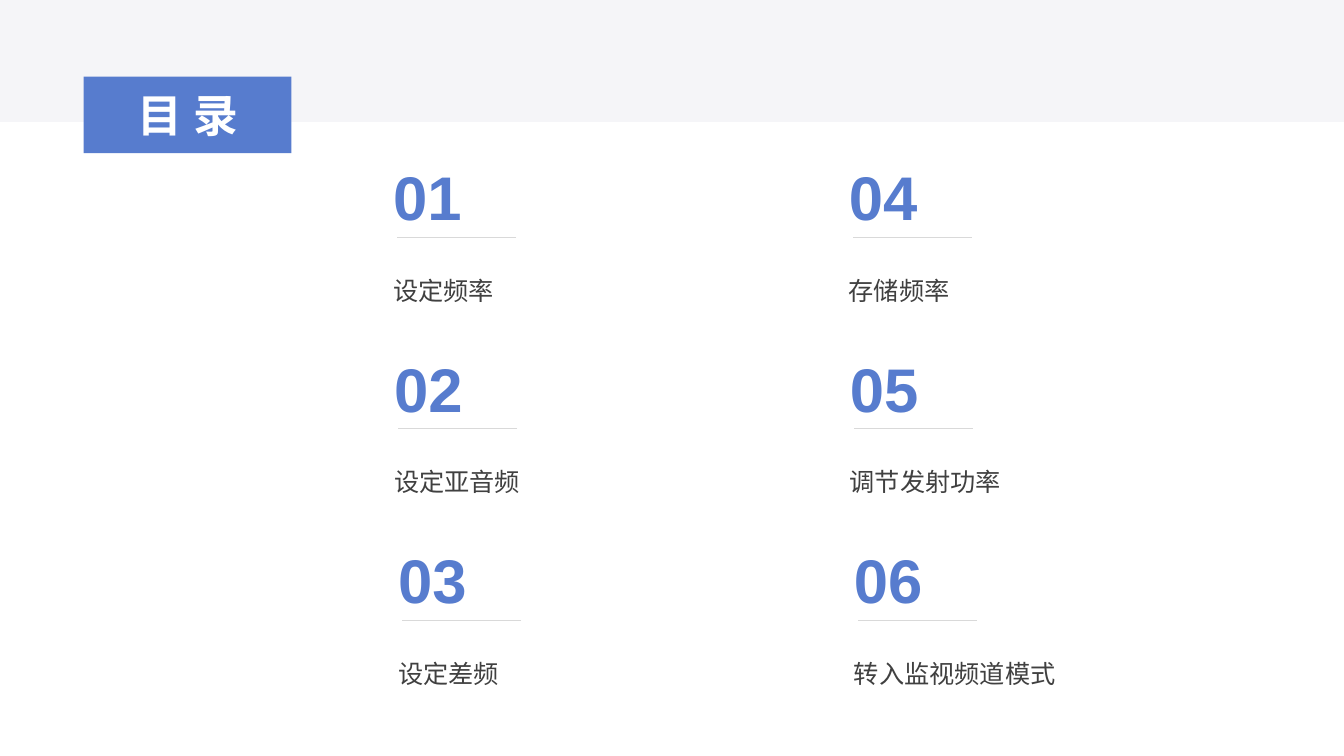
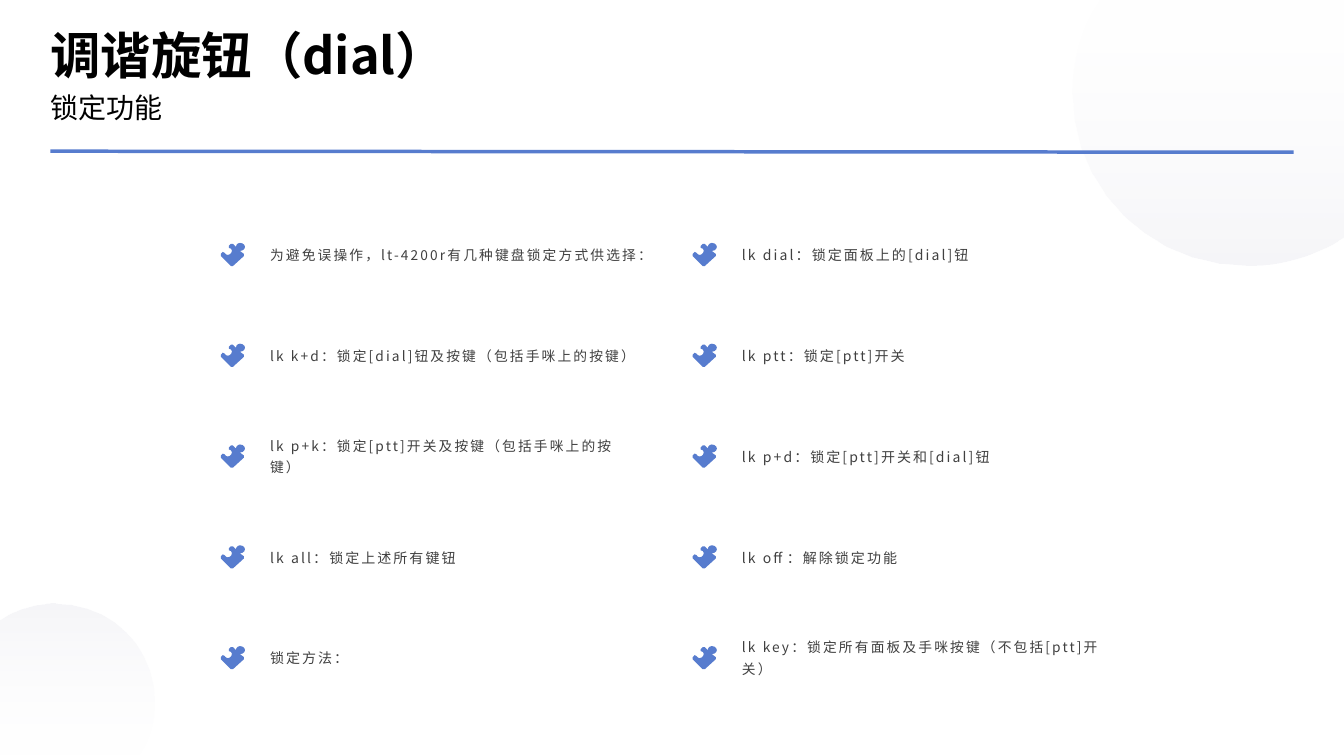
import itertools

import lxml.etree
import pptx
import pptx.dml.color
import pptx.enum.shapes
import pptx.enum.text
import pptx.oxml.ns
import pptx.util

# Content
CONTENTS_TITLE = "目录"
CONTENTS = [
    ["设定频率", "设定亚音频", "设定差频"],
    ["存储频率", "调节发射功率", "转入监视频道模式"],
]
LOCK_TITLE = "调谐旋钮（dial）"
LOCK_SUBTITLE = "锁定功能"
LOCK_ROWS = [
    ("为避免误操作，lt-4200r有几种键盘锁定方式供选择：", "lk dial：锁定面板上的[dial]钮"),
    ("lk k+d：锁定[dial]钮及按键（包括手咪上的按键）", "lk ptt：锁定[ptt]开关"),
    ("lk p+k：锁定[ptt]开关及按键（包括手咪上的按键）", "lk p+d：锁定[ptt]开关和[dial]钮"),
    ("lk all：锁定上述所有键钮", "lk off：解除锁定功能"),
    ("锁定方法：", "lk key：锁定所有面板及手咪按键（不包括[ptt]开关）"),
]

# Shared look
WIDTH, HEIGHT = 13.33, 7.5
MARGIN = 0.5
COLOURS = {
    "accent": "577CCE", "band": "F5F5F8", "rule": "D9D9D9", "body": "404040",
    "black": "000000", "white": "FFFFFF", "haze": "D8D8E4",
}
CJK_FONT = "Noto Sans CJK SC"
ALIGN = pptx.enum.text.PP_ALIGN
ANCHOR = pptx.enum.text.MSO_ANCHOR
NO_INSETS = dict.fromkeys(("margin_left", "margin_top", "margin_right", "margin_bottom"), 0)
BODY_FONT = {"name": CJK_FONT, "size": pptx.util.Pt(10)}
STYLES = {
    "tab": {
        "colour": "white", "spacing": 8,
        "font": {"name": "Arial", "size": pptx.util.Pt(32), "bold": True},
        "paragraph": {"alignment": ALIGN.CENTER},
        "frame": {"vertical_anchor": ANCHOR.MIDDLE},
    },
    "number": {
        "colour": "accent",
        "font": {"name": "Arial", "size": pptx.util.Pt(44), "bold": True},
    },
    "label": {
        "colour": "body",
        "font": {"name": "Arial", "size": pptx.util.Pt(18)},
        "paragraph": {"alignment": ALIGN.JUSTIFY, "line_spacing": 1.5,
                      "space_after": pptx.util.Pt(20)},
    },
    "title": {
        "colour": "black",
        "font": {"name": CJK_FONT, "size": pptx.util.Pt(36), "bold": True},
        "frame": {"vertical_anchor": ANCHOR.BOTTOM, **NO_INSETS},
    },
    "subtitle": {
        "colour": "black",
        "font": {"name": CJK_FONT, "size": pptx.util.Pt(20)},
        "paragraph": {"line_spacing": 1.2},
        "frame": NO_INSETS,
    },
    "item": {
        "colour": "body", "spacing": 1.5,
        "font": BODY_FONT,
        "paragraph": {"line_spacing": 1.3},
        "frame": {"vertical_anchor": ANCHOR.MIDDLE},
    },
}
STYLES["long item"] = {**STYLES["item"], "font": {**BODY_FONT, "size": pptx.util.Pt(9.8)}}
LONG_ITEM = 26  # characters that no longer fit on one line

# Outline in hundredths of an inch: start, then lines (2 numbers) or cubics (6)
PUZZLE_PIECE = [
    (20, 8), (23, 8, 25, 6, 25, 4), (25, 2, 23, 0, 20, 0), (18, 0, 16, 2, 16, 4),
    (13, 1), (11, 1), (9, 3), (9, 5), (12, 5, 12, 8, 12, 8),
    (12, 10, 10, 12, 8, 12), (6, 12, 5, 10, 5, 10), (3, 9), (1, 11), (1, 13),
    (11, 23), (13, 23), (24, 13), (24, 11),
]
CORNER_DISC = [
    (28, 0), (269, 0), (269, 234), (256, 242), (231, 255, 203, 263, 173, 263),
    (77, 263, 0, 187, 0, 92), (0, 63, 7, 35, 21, 11),
]


def colour(name):
    return pptx.dml.color.RGBColor.from_string(COLOURS[name])


def inches(*lengths):
    return [pptx.util.Inches(length) for length in lengths]


def apply(target, values):
    for name, value in values.items():
        setattr(target, name, value)


def write(shape, text, style_name):
    style = STYLES[style_name]
    frame = shape.text_frame
    apply(frame, {"word_wrap": True, **style.get("frame", {})})
    paragraph = frame.paragraphs[0]
    apply(paragraph, style.get("paragraph", {}))
    run = paragraph.add_run()
    run.text = text
    apply(run.font, style["font"])
    run.font.color.rgb = colour(style["colour"])
    properties = run.font._element
    properties.set("spc", str(int(style.get("spacing", 0) * 100)))
    east_asian = lxml.etree.SubElement(properties, pptx.oxml.ns.qn("a:ea"))
    east_asian.set("typeface", CJK_FONT)


def add_text(slide, box, text, style_name):
    write(slide.shapes.add_textbox(*inches(*box)), text, style_name)


def paint(shape, fill):
    shape.shadow.inherit = False
    shape.line.fill.background()
    shape.fill.solid()
    shape.fill.fore_color.rgb = colour(fill)


def add_rectangle(slide, box, fill):
    rectangle = slide.shapes.add_shape(pptx.enum.shapes.MSO_SHAPE.RECTANGLE, *inches(*box))
    paint(rectangle, fill)
    return rectangle


def add_rule(slide, start, end, line_colour, width):
    rule = slide.shapes.add_connector(
        pptx.enum.shapes.MSO_CONNECTOR.STRAIGHT, *inches(*start, *end))
    rule.line.color.rgb = colour(line_colour)
    rule.line.width = pptx.util.Pt(width)
    lxml.etree.SubElement(rule._element.spPr, pptx.oxml.ns.qn("a:effectLst"))


def flatten(outline, steps):
    """Turn the cubics of an outline into short straight pieces."""
    points = [outline[0]]
    for segment in outline[1:]:
        if len(segment) == 2:
            points.append(segment)
            continue
        corners = [points[-1], segment[:2], segment[2:4], segment[4:]]
        for step in range(1, steps + 1):
            t = step / steps
            weights = ((1 - t) ** 3, 3 * t * (1 - t) ** 2, 3 * t * t * (1 - t), t ** 3)
            points.append(tuple(
                sum(weight * corner[axis] for weight, corner in zip(weights, corners))
                for axis in (0, 1)))
    return points


def add_outline(slide, outline, left, top, fill, steps, scale=1.0):
    points = [inches(x * scale / 100, y * scale / 100) for x, y in flatten(outline, steps)]
    builder = slide.shapes.build_freeform(*points[0])
    builder.add_line_segments(points[1:], close=True)
    shape = builder.convert_to_shape(*inches(left, top))
    paint(shape, fill)
    return shape


def add_corner_disc(slide, left, top, scale, rotation):
    disc = add_outline(slide, CORNER_DISC, left, top, "haze", 10, scale)
    disc.rotation = rotation
    disc.fill.gradient()
    disc.fill.gradient_angle = 270
    stops = zip(disc.fill.gradient_stops, ("white", "haze"), (0, 1), (10, 24))
    for stop, name, position, opacity in stops:
        stop.position = position
        stop.color.rgb = colour(name)
        tint = stop._gs.find(pptx.oxml.ns.qn("a:srgbClr"))
        alpha = lxml.etree.SubElement(tint, pptx.oxml.ns.qn("a:alpha"))
        alpha.set("val", str(opacity * 1000))


def build_contents(slide):
    add_rectangle(slide, (0, 0, WIDTH, 1.21), "band")

    # Two columns of three numbered entries
    row_shifts = (0, 0.01, 0.05)
    for column, labels in enumerate(CONTENTS):
        for row, label in enumerate(labels):
            left = 3.8 + 4.52 * column + row_shifts[row]
            top = 1.53 + 1.9 * row
            number = column * len(labels) + row + 1
            add_text(slide, (left, top + 1, 3.54, 0.68), label, "label")
            add_text(slide, (left, top, 0.89, 0.84), f"{number:02d}", "number")
            add_rule(slide, (left + 1.32, top + 0.82), (left + 0.14, top + 0.82), "rule", 0.5)

    tab = add_rectangle(slide, (0.83, 0.76, 2.06, 0.76), "accent")
    write(tab, CONTENTS_TITLE, "tab")


def build_lock_functions(slide):
    add_corner_disc(slide, 10.64, 0, 1, 0)
    add_corner_disc(slide, 0, 5.99, 0.57, 180)

    # Heading
    add_rule(slide, (MARGIN, 1.5), (WIDTH - MARGIN, 1.51), "accent", 2.5)
    add_text(slide, (MARGIN, 0.17, WIDTH - 2 * MARGIN, 0.67), LOCK_TITLE, "title")
    add_text(slide, (MARGIN, 0.83, WIDTH - 2 * MARGIN, 0.5), LOCK_SUBTITLE, "subtitle")

    # Grid of entries, each with a puzzle piece
    for row, column in itertools.product(range(len(LOCK_ROWS)), range(2)):
        text = LOCK_ROWS[row][column]
        left = 2.18 + 4.68 * column
        top = 2.23 + row
        add_outline(slide, PUZZLE_PIECE, left, top + 0.18, "accent", 3)
        style_name = "long item" if len(text) > LONG_ITEM else "item"
        add_text(slide, (left + 0.4, top, 3.89, 0.55), text, style_name)


def main():
    presentation = pptx.Presentation()
    presentation.slide_width, presentation.slide_height = inches(WIDTH, HEIGHT)
    for build in (build_contents, build_lock_functions):
        build(presentation.slides.add_slide(presentation.slide_layouts[6]))
    presentation.save("out.pptx")


if __name__ == "__main__":
    main()
